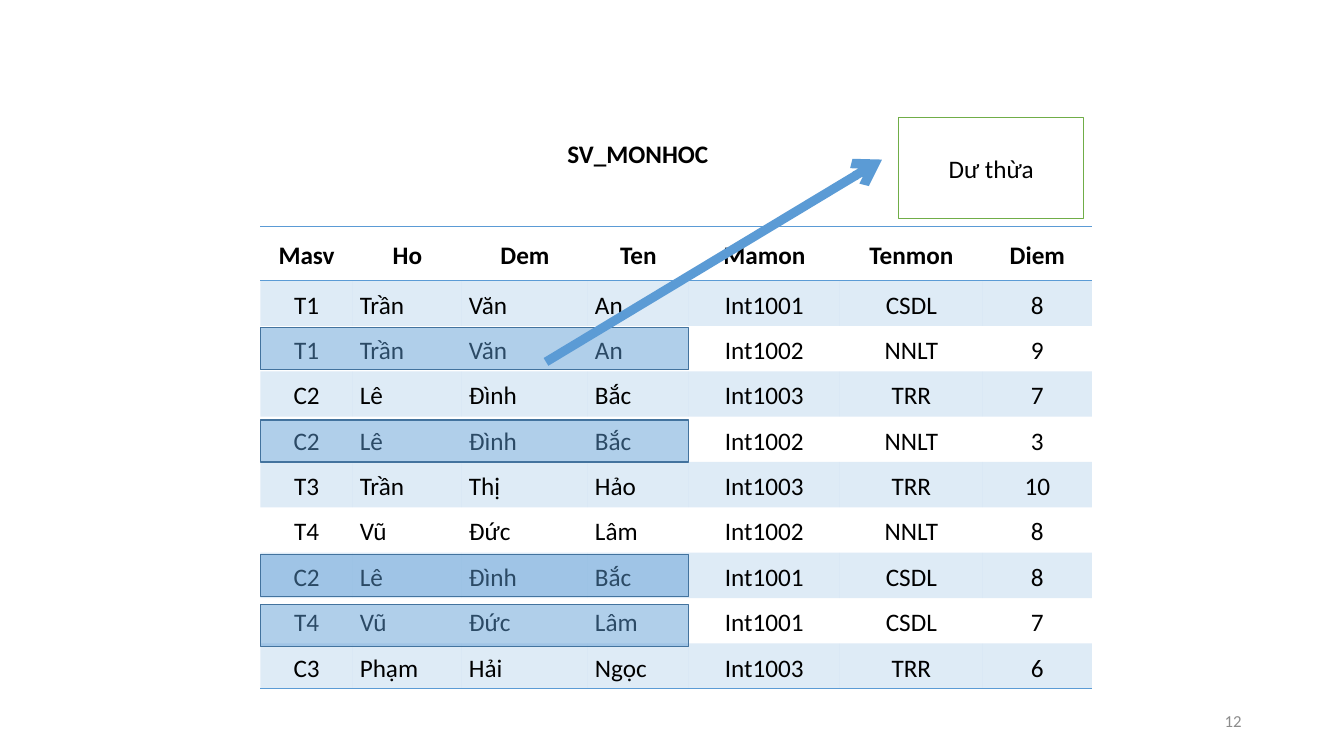
from lxml import etree
from pptx import Presentation
from pptx.dml.color import RGBColor
from pptx.enum.shapes import MSO_CONNECTOR, MSO_SHAPE
from pptx.enum.text import MSO_ANCHOR as ANCHOR, MSO_AUTO_SIZE as AUTO_SIZE, PP_ALIGN as ALIGN
from pptx.oxml.ns import qn
from pptx.util import Pt

BLUE = RGBColor(0x5B, 0x9B, 0xD5)
DARK_BLUE = RGBColor(0x43, 0x73, 0x9E)
GREEN = RGBColor(0x70, 0xAD, 0x47)
WHITE = RGBColor(0xFF, 0xFF, 0xFF)
BLACK = RGBColor(0, 0, 0)
GREY = RGBColor(0x8C, 0x8C, 0x8C)

NO_STYLE = "{2D5ABB26-0587-4C30-8999-92F81FD0307C}"
TITLE_ONLY = 5

COL_WIDTHS = [66, 78, 90, 72, 108, 102, 78]
HEADER_HEIGHT, ROW_HEIGHT = 38.4, 32.4
TABLE_LEFT, TABLE_TOP = 186, 162
NAME_COLS = range(1, 4)
ROWS = [
    ["Masv", "Ho", "Dem", "Ten", "Mamon", "Tenmon", "Diem"],
    ["T1", "Trần", "Văn", "An", "Int1001", "CSDL", "8"],
    ["T1", "Trần", "Văn", "An", "Int1002", "NNLT", "9"],
    ["C2", "Lê", "Đình", "Bắc", "Int1003", "TRR", "7"],
    ["C2", "Lê", "Đình", "Bắc", "Int1002", "NNLT", "3"],
    ["T3", "Trần", "Thị", "Hảo", "Int1003", "TRR", "10"],
    ["T4", "Vũ", "Đức", "Lâm", "Int1002", "NNLT", "8"],
    ["C2", "Lê", "Đình", "Bắc", "Int1001", "CSDL", "8"],
    ["T4", "Vũ", "Đức", "Lâm", "Int1001", "CSDL", "7"],
    ["C3", "Phạm", "Hải", "Ngọc", "Int1003", "TRR", "6"],
]
HIGHLIGHT_TOPS = [234, 300, 396, 432]


class Deck:
    def __init__(self, width, height, font="Calibri", size=18):
        self.prs = Presentation()
        self.prs.slide_width, self.prs.slide_height = Pt(width), Pt(height)
        self.font, self.size = font, size
        self.slide = self.prs.slides.add_slide(self.prs.slide_layouts[TITLE_ONLY])
        self.shapes = self.slide.shapes

    def set_text(self, tf, text, align=ALIGN.CENTER, bold=False, color=BLACK, size=None):
        tf.text = text
        p = tf.paragraphs[0]
        p.alignment = align
        p.font.name, p.font.size = self.font, Pt(size or self.size)
        p.font.bold, p.font.color.rgb = bold, color
        return p

    def set_fill(self, target, color, opacity):
        target.fill.solid()
        target.fill.fore_color.rgb = color
        srgb = target.fill._xPr.find(qn("a:solidFill")).find(qn("a:srgbClr"))
        etree.SubElement(srgb, qn("a:alpha"), val=str(opacity * 1000))

    def title(self, text, x, y, w, h):
        sp = self.shapes.title
        sp.left, sp.top, sp.width, sp.height = Pt(x), Pt(y), Pt(w), Pt(h)
        tf = sp.text_frame
        self.set_text(tf, text, ALIGN.LEFT, bold=True)
        tf.word_wrap = False
        tf.auto_size = AUTO_SIZE.SHAPE_TO_FIT_TEXT
        tf.vertical_anchor = ANCHOR.TOP

    def label(self, text, x, y, w, h, **style):
        tf = self.shapes.add_textbox(Pt(x), Pt(y), Pt(w), Pt(h)).text_frame
        tf.word_wrap = True
        tf.vertical_anchor = ANCHOR.MIDDLE
        self.set_text(tf, text, **style)

    def box(self, x, y, w, h, color, opacity, line, text=None):
        sp = self.shapes.add_shape(MSO_SHAPE.RECTANGLE, Pt(x), Pt(y), Pt(w), Pt(h))
        sp.shadow.inherit = False
        self.set_fill(sp, color, opacity)
        sp.line.color.rgb, sp.line.width = line, Pt(1)
        if text:
            sp.text_frame.vertical_anchor = ANCHOR.MIDDLE
            self.set_text(sp.text_frame, text)

    def arrow(self, x1, y1, x2, y2, color, width):
        cxn = self.shapes.add_connector(MSO_CONNECTOR.STRAIGHT, Pt(x1), Pt(y1), Pt(x2), Pt(y2))
        cxn.line.color.rgb, cxn.line.width = color, Pt(width)
        spPr = cxn._element.spPr
        etree.SubElement(spPr.find(qn("a:ln")), qn("a:tailEnd"), type="arrow")
        etree.SubElement(spPr, qn("a:effectLst"))

    def borders(self, cell, sides, color):
        tcPr = cell._tc.get_or_add_tcPr()
        for i, side in enumerate(sides):
            ln = etree.Element(qn("a:ln" + side), w=str(Pt(1)))
            solid = etree.SubElement(ln, qn("a:solidFill"))
            etree.SubElement(solid, qn("a:srgbClr"), val=str(color))
            tcPr.insert(i, ln)

    def cell(self, cell, text, align, header, shaded):
        cell.margin_left = cell.margin_right = Pt(5)
        cell.margin_top = cell.margin_bottom = 0
        cell.vertical_anchor = ANCHOR.MIDDLE
        self.set_text(cell.text_frame, text, align, bold=header).line_spacing = 1.15
        if shaded:
            self.set_fill(cell, BLUE, 20)
        else:
            cell.fill.background()

    def table(self, rows, x, y, widths, header_height, row_height):
        heights = [header_height] + [row_height] * (len(rows) - 1)
        frame = self.shapes.add_table(len(rows), len(widths), Pt(x), Pt(y),
                                      Pt(sum(widths)), Pt(sum(heights)))
        table = frame.table
        table.horz_banding = False
        table._tbl.tblPr.find(qn("a:tableStyleId")).text = NO_STYLE
        for col, width in zip(table.columns, widths):
            col.width = Pt(width)
        for r, (row, height) in enumerate(zip(rows, heights)):
            table.rows[r].height = Pt(height)
            for c, text in enumerate(row):
                cell = table.cell(r, c)
                align = ALIGN.LEFT if r and c in NAME_COLS else ALIGN.CENTER
                self.cell(cell, text, align, header=r == 0, shaded=r % 2 == 1)
                if r == 0:
                    self.borders(cell, "TB", BLUE)
                elif r == len(rows) - 1:
                    self.borders(cell, "B", BLUE)


def main():
    deck = Deck(960, 540)
    deck.title("SV_MONHOC", 398, 95, 116, 29)
    deck.table(ROWS, TABLE_LEFT, TABLE_TOP, COL_WIDTHS, HEADER_HEIGHT, ROW_HEIGHT)
    for top in HIGHLIGHT_TOPS:
        deck.box(TABLE_LEFT, top, sum(COL_WIDTHS[:4]), 30, BLUE, 48, DARK_BLUE)
    deck.arrow(390, 258.5, 630, 114, BLUE, 6.5)
    deck.box(642, 84, 132, 72, WHITE, 39, GREEN, "Dư thừa")
    deck.label("12", 678, 500.5, 216, 28.75, align=ALIGN.RIGHT, color=GREY, size=12)
    deck.prs.save("out.pptx")


if __name__ == "__main__":
    main()
